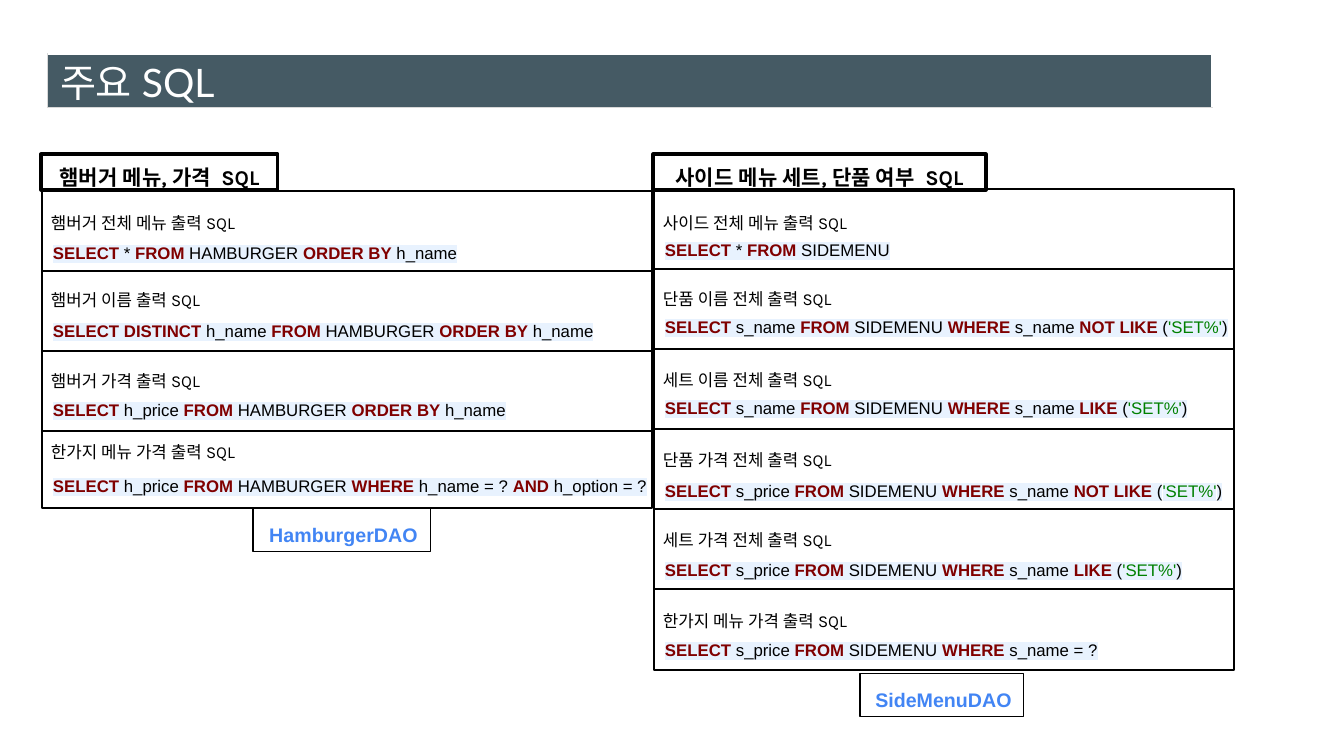
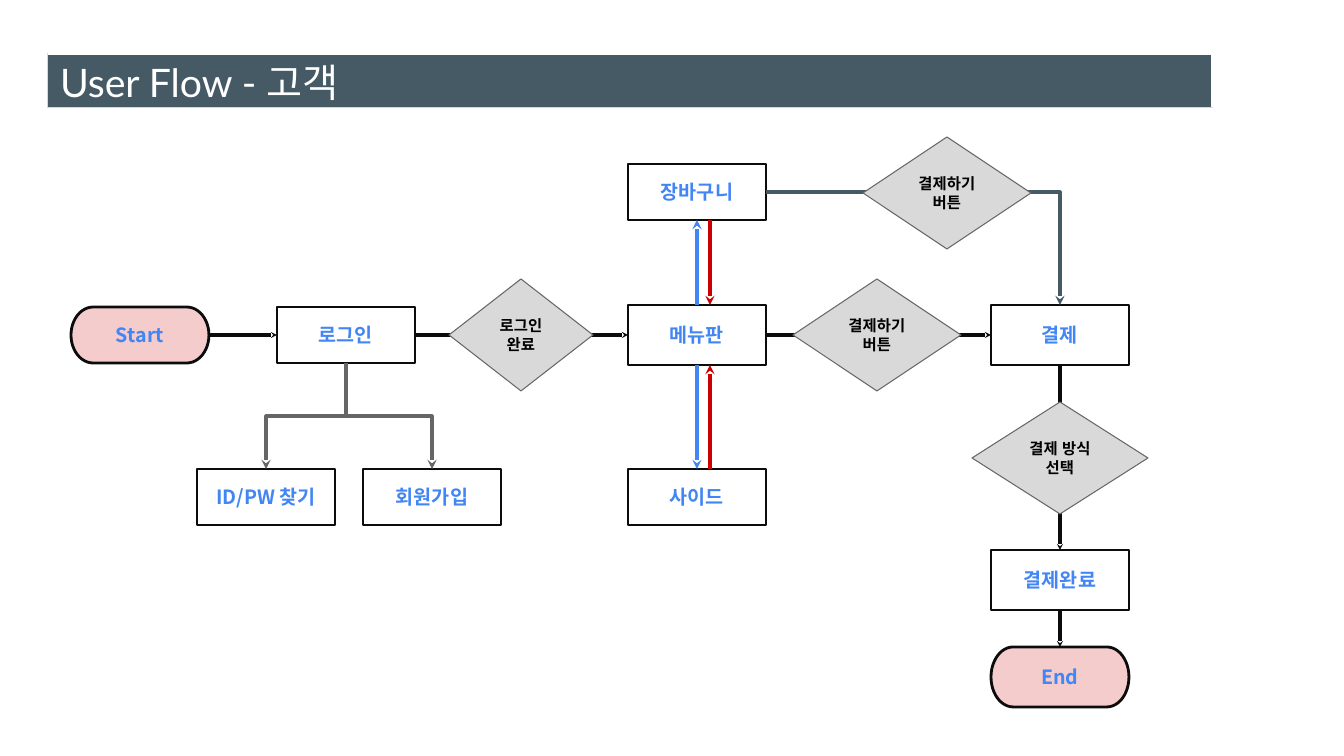
from itertools import groupby

from lxml.etree import SubElement
from pptx import Presentation
from pptx.dml.color import RGBColor
from pptx.enum.shapes import MSO_CONNECTOR, MSO_SHAPE
from pptx.enum.text import MSO_ANCHOR, PP_ALIGN
from pptx.oxml import parse_xml
from pptx.oxml.ns import nsdecls, qn
from pptx.util import Pt

EMU_PER_PX = 914400 / 100.8

COLORS = {
    "band": "455A64", "band_edge": "D8D8D8", "white": "FFFFFF",
    "black": "000000", "ink": "0C0C0C", "blue": "4285F4", "red": "CC0000",
    "gray": "666666", "decision": "D9D9D9", "terminal": "F4CCCC",
    "keyword": "800000", "string": "008000", "sql_back": "E8F2FE",
}

FONTS = {
    "title": {"name": "Lato", "size": Pt(28)},
    "heading": {"name": "Karla", "size": Pt(15), "bold": True},
    "label": {"name": "Karla", "size": Pt(12)},
    "sql": {"name": "Arial", "size": Pt(12)},
    "dao": {"name": "Arial", "size": Pt(14), "bold": True},
    "step": {"name": "Noto Sans CJK KR", "size": Pt(14), "bold": True},
    "decision": {"name": "Arial", "size": Pt(11), "bold": True},
}

KEYWORDS = set("SELECT DISTINCT FROM WHERE ORDER BY AND NOT LIKE".split())

# Each statement: label, label offset, SQL, SQL offset (from the frame top)
HAMBURGER = [
    ("햄버거 전체 메뉴 출력 SQL", 12,
     "SELECT * FROM HAMBURGER ORDER BY h_name", 39),
    ("햄버거 이름 출력 SQL", 9,
     "SELECT DISTINCT h_name FROM HAMBURGER ORDER BY h_name", 37),
    ("햄버거 가격 출력 SQL", 10,
     "SELECT h_price FROM HAMBURGER ORDER BY h_name", 36),
    ("한가지 메뉴 가격 출력 SQL", 1,
     "SELECT h_price FROM HAMBURGER WHERE h_name = ? AND h_option = ?", 32),
]
SIDE_MENU = [
    ("사이드 전체 메뉴 출력 SQL", 14, "SELECT * FROM SIDEMENU", 38),
    ("단품 이름 전체 출력 SQL", 10,
     "SELECT s_name FROM SIDEMENU WHERE s_name NOT LIKE ('SET%')", 35),
    ("세트 이름 전체 출력 SQL", 11,
     "SELECT s_name FROM SIDEMENU WHERE s_name LIKE ('SET%')", 36),
    ("단품 가격 전체 출력 SQL", 11,
     "SELECT s_price FROM SIDEMENU WHERE s_name NOT LIKE ('SET%')", 39),
    ("세트 가격 전체 출력 SQL", 11,
     "SELECT s_price FROM SIDEMENU WHERE s_name LIKE ('SET%')", 38),
    ("한가지 메뉴 가격 출력 SQL", 12,
     "SELECT s_price FROM SIDEMENU WHERE s_name = ?", 38),
]

# Flow parts: centre x, centre y, width, height
STEPS = {
    "Start": (140, 335, 138, 56), "로그인": (346, 335, 138, 56),
    "회원가입": (432, 497, 138, 56), "ID/PW 찾기": (266, 497, 138, 56),
    "메뉴판": (697, 335, 138, 60), "결제": (1060, 335, 138, 60),
    "결제완료": (1060, 580, 138, 60), "End": (1060, 677, 138, 60),
    "장바구니": (697, 192, 138, 56), "사이드": (697, 497, 138, 56),
}
TERMINALS = ("Start", "End")
DECISIONS = [
    ("로그인 완료", (521, 335, 144, 112)),
    ("결제하기 버튼", (877, 335, 168, 112)),
    ("결제하기 버튼", (947, 193, 168, 112)),
    ("결제 방식 선택", (1060, 458, 176, 112)),
]
TOP, LEFT, BOTTOM, RIGHT = range(4)
LINKS = [
    ("Start", RIGHT, "로그인", LEFT, "ink", "sm"),
    ("로그인", RIGHT, "메뉴판", LEFT, "ink", "sm"),
    ("메뉴판", RIGHT, "결제", LEFT, "ink", "sm"),
    ("결제", BOTTOM, "결제완료", TOP, "ink", "sm"),
    ("결제완료", BOTTOM, "End", TOP, "ink", "sm"),
    ("메뉴판", TOP, "장바구니", BOTTOM, "blue", "med"),
    ("메뉴판", BOTTOM, "사이드", TOP, "blue", "med"),
]


def px(value):
    return round(value * EMU_PER_PX)


def emu_box(box):
    return [px(value) for value in box]


def rgb(color):
    return RGBColor.from_string(COLORS[color])


def apply(target, values):
    for name, value in values.items():
        setattr(target, name, value)


# Text

def add_run(paragraph, text, style, color, back=None, **extra):
    run = paragraph.add_run()
    run.text = text
    run.font.color.rgb = rgb(color)
    apply(run.font, {**FONTS[style], **extra})
    properties = run.font._element
    latin = properties.find(qn("a:latin"))
    latin.addnext(parse_xml(
        f'<a:ea {nsdecls("a")} typeface="{FONTS[style]["name"]}"/>'))
    if back:
        latin.addprevious(parse_xml(
            f'<a:highlight {nsdecls("a")}><a:srgbClr val="{COLORS[back]}"/>'
            '</a:highlight>'))


def set_frame(shape, inset_y=10, anchor=MSO_ANCHOR.TOP):
    apply(shape.text_frame, {
        "word_wrap": True, "vertical_anchor": anchor,
        "margin_left": px(10), "margin_right": px(10),
        "margin_top": px(inset_y), "margin_bottom": px(inset_y),
    })
    return shape.text_frame.paragraphs[0]


def set_code_spacing(paragraph):
    paragraph.line_spacing = 1.15
    paragraph._p.get_or_add_pPr().set("marL", str(px(3)))


def add_text(slide, box, text, style, color, **frame):
    paragraph = set_frame(slide.shapes.add_textbox(*emu_box(box)), **frame)
    add_run(paragraph, text, style, color)


def sql_tokens(sql):
    for index, piece in enumerate(sql.split("'")):
        if index % 2:
            yield "string", f"'{piece}'"
            continue
        for position, word in enumerate(piece.split(" ")):
            if position:
                yield "black", " "
            yield ("keyword" if word in KEYWORDS else "black"), word


def add_sql(slide, box, sql):
    paragraph = set_frame(slide.shapes.add_textbox(*emu_box(box)))
    set_code_spacing(paragraph)
    for color, tokens in groupby(sql_tokens(sql), key=lambda token: token[0]):
        add_run(paragraph, "".join(word for _, word in tokens), "sql", color,
                back="sql_back", bold=color == "keyword")


# Shapes and lines

def add_box(slide, box, line, width, fill=None, kind=MSO_SHAPE.RECTANGLE):
    shape = slide.shapes.add_shape(kind, *emu_box(box))
    shape.shadow.inherit = False
    if fill:
        shape.fill.solid()
        shape.fill.fore_color.rgb = rgb(fill)
    else:
        shape.fill.background()
    shape.line.color.rgb = rgb(line)
    shape.line.width = Pt(width)
    return shape


def add_arrow(slide, kind, ends, color, head="med", preset=None):
    arrow = slide.shapes.add_connector(kind, *emu_box(ends))
    arrow.line.color.rgb = rgb(color)
    arrow.line.width = Pt(2.25)
    if head:
        SubElement(arrow.line._get_or_add_ln(), qn("a:tailEnd"),
                   type="stealth", w=head, len=head)
    properties = arrow._element.spPr
    SubElement(properties, qn("a:effectLst"))
    if preset:
        properties.find(qn("a:prstGeom")).set("prst", preset)
    return arrow


def add_down_elbow(slide, x1, y1, x2, y2, color):
    # A quarter turn makes the elbow leave and arrive vertically
    left, top = (x1 + x2 - (y2 - y1)) // 2, (y1 + y2 - (x1 - x2)) // 2
    ends = (left, top, left + y2 - y1, top + x1 - x2)
    arrow = add_arrow(slide, MSO_CONNECTOR.ELBOW, ends, color)
    arrow._element.spPr.find(qn("a:xfrm")).set("rot", "5400000")


# Shared title band

def add_titled_slide(prs, title):
    slide = prs.slides.add_slide(prs.slide_layouts[6])
    band = slide.shapes.add_table(1, 1, *emu_box((47, 54, 1165, 53))).table
    apply(band, {"first_row": False, "horz_banding": False})
    cell = band.cell(0, 0)
    cell.fill.solid()
    cell.fill.fore_color.rgb = rgb("band")
    for side in ("lnB", "lnL"):
        cell._tc.get_or_add_tcPr().insert(0, parse_xml(
            f'<a:{side} {nsdecls("a")} w="9525"><a:solidFill><a:srgbClr '
            f'val="{COLORS["band_edge"]}"/></a:solidFill></a:{side}>'))
    add_text(slide, (50, 48, 1259, 68), title, "title", "white",
             inset_y=5, anchor=MSO_ANCHOR.MIDDLE)
    return slide


# SQL column: heading tab, framed statements, DAO tag

def add_sql_column(slide, box, heading, heading_width, statements,
                   last_height, dao, dao_box):
    left, top, width, pitch = box
    tab = add_box(slide, (left - 1, 154, heading_width, 36), "black", 2.25)
    add_run(set_frame(tab), heading, "heading", "black")
    for row, (label, label_dy, sql, sql_dy) in enumerate(statements):
        y = top + row * pitch
        height = last_height if row == len(statements) - 1 else pitch
        add_box(slide, (left, y, width, height), "black", 1.5)
        add_text(slide, (left - 1, y + label_dy, 240, 30),
                 label, "label", "black")
        add_sql(slide, (left - 2, y + sql_dy, width + 16, 41), sql)
    paragraph = set_frame(add_box(slide, dao_box, "black", 0.75))
    set_code_spacing(paragraph)
    add_run(paragraph, dao, "dao", "blue")


def build_sql_slide(prs):
    slide = add_titled_slide(prs, "주요 SQL")
    add_sql_column(slide, (42, 191, 610, 80), "햄버거 메뉴, 가격  SQL", 237,
                   HAMBURGER, 77, "HamburgerDAO", (253, 509, 178, 43))
    add_sql_column(slide, (654, 189, 580, 80),
                   "사이드 메뉴 세트, 단품 여부  SQL", 333,
                   SIDE_MENU, 81, "SideMenuDAO", (860, 674, 164, 43))


# User flow

def add_flow_part(slide, center_box, text, style, color, inset_y, **look):
    x, y, width, height = center_box
    part = add_box(slide, (x - width // 2, y - height // 2, width, height),
                   **look)
    paragraph = set_frame(part, inset_y, MSO_ANCHOR.MIDDLE)
    paragraph.alignment = PP_ALIGN.CENTER
    add_run(paragraph, text, style, color)
    return part


def build_flow_slide(prs):
    slide = add_titled_slide(prs, "User Flow - 고객")
    steps = {}
    for name, center_box in STEPS.items():
        terminal = name in TERMINALS
        steps[name] = add_flow_part(
            slide, center_box, name, "step", "blue", 5, line="ink", width=2,
            fill="terminal" if terminal else "white",
            kind=MSO_SHAPE.FLOWCHART_TERMINATOR if terminal
            else MSO_SHAPE.RECTANGLE)

    # Straight links between steps
    for start, start_site, end, end_site, color, head in LINKS:
        arrow = add_arrow(slide, MSO_CONNECTOR.STRAIGHT, (0, 0, 0, 0),
                          color, head)
        arrow.begin_connect(steps[start], start_site)
        arrow.end_connect(steps[end], end_site)

    # Return paths to the menu board
    for y1, y2 in ((220, 305), (469, 365)):
        add_arrow(slide, MSO_CONNECTOR.STRAIGHT, (710, y1, 710, y2), "red")

    # Bent paths
    for ends, color in (((766, 192, 1060, 305), "band"),
                        ((346, 416, 432, 469), "gray")):
        add_arrow(slide, MSO_CONNECTOR.ELBOW, ends, color,
                  preset="bentConnector2")
    add_down_elbow(slide, 346, 363, 266, 469, "gray")

    # Decisions lie over the links
    for text, center_box in DECISIONS:
        add_flow_part(slide, center_box, text, "decision", "black", 10,
                      line="gray", width=0.75, fill="decision",
                      kind=MSO_SHAPE.DIAMOND)


def main():
    prs = Presentation()
    apply(prs, {"slide_width": px(1344), "slide_height": px(756)})
    build_sql_slide(prs)
    build_flow_slide(prs)
    prs.save("out.pptx")


if __name__ == "__main__":
    main()
